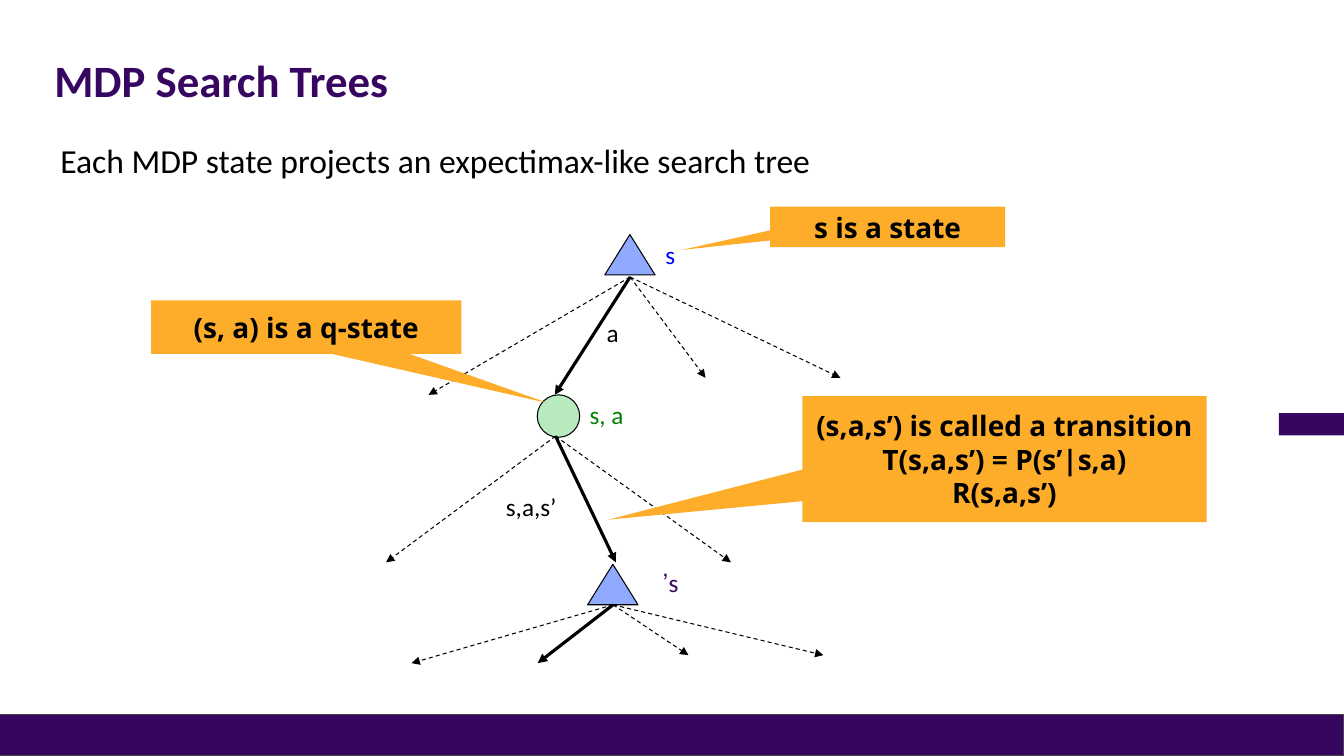
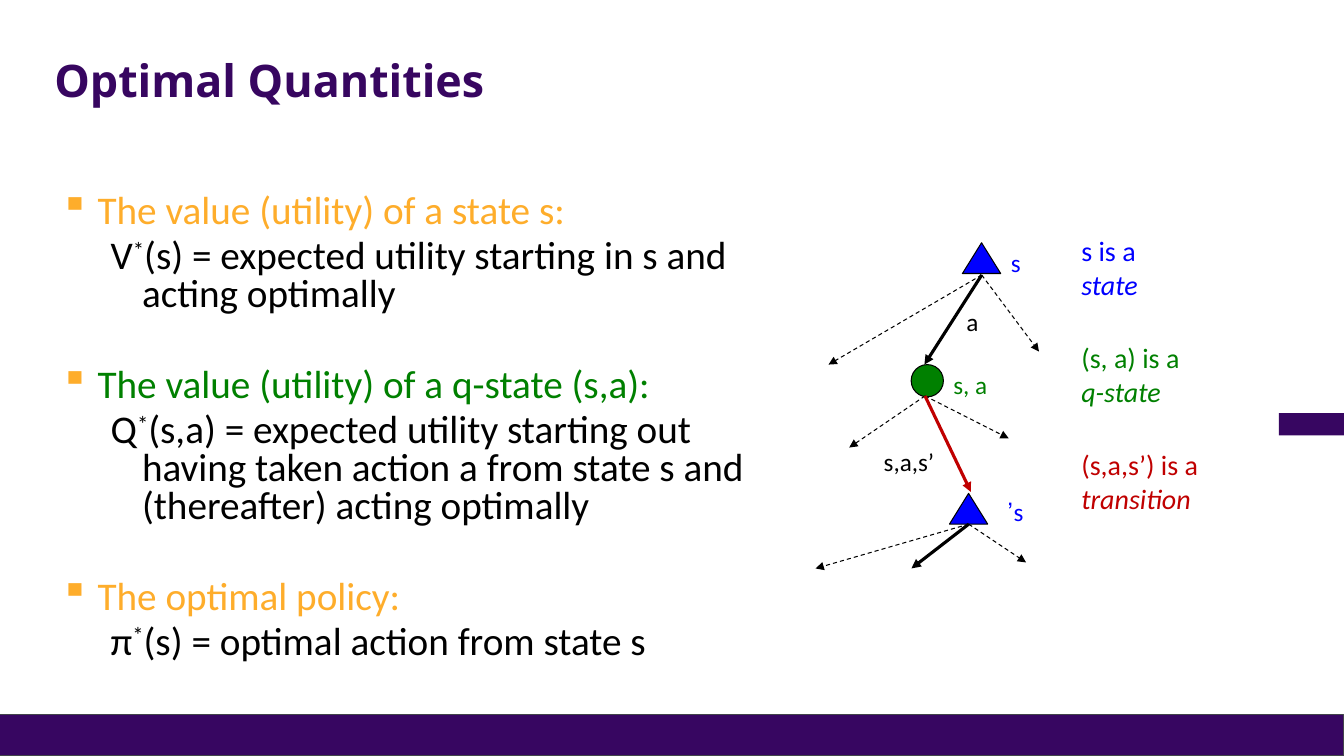
from lxml import etree
from pptx import Presentation, util as u
from pptx.dml.color import RGBColor
from pptx.enum import dml, shapes, text
from pptx.oxml.ns import qn

Cm, Pt = u.Cm, u.Pt
SHAPE, ALIGN, ANCHOR = shapes.MSO_SHAPE, text.PP_ALIGN, text.MSO_ANCHOR

COLORS = {
    "band": "370661", "band_edge": "43454B", "title": "370660", "amber": "FEAD2B",
    "black": "000000", "blue": "0000FF", "green": "008000", "red": "C00000",
    "pale_blue": "8FAAFF", "pale_green": "B8EAC0",
}
BODY_FONT, STRONG_FONT = "Calibri", "Open Sans"


def rgb(color):
    return RGBColor.from_string(COLORS[color])


def add_run(paragraph, words, size, color, font=BODY_FONT, bold=False, italic=False, raised=False):
    run = paragraph.add_run()
    run.text = words
    run.font.name, run.font.size = font, Pt(size)
    run.font.bold, run.font.italic = bold, italic
    run.font.color.rgb = rgb(color)
    if raised:
        run._r.get_or_add_rPr().set("baseline", "30000")


def add_text_box(slide, left, top, width, height, anchor=ANCHOR.TOP):
    frame = slide.shapes.add_textbox(Cm(left), Cm(top), Cm(width), Cm(height)).text_frame
    frame.word_wrap = True
    frame.vertical_anchor = anchor
    return frame


def add_shape(slide, preset, left, top, width, height, fill, edge=None):
    shape = slide.shapes.add_shape(preset, Cm(left), Cm(top), Cm(width), Cm(height))
    shape.shadow.inherit = False
    shape.fill.solid()
    shape.fill.fore_color.rgb = rgb(fill)
    if edge:
        shape.line.color.rgb = rgb(edge)
        shape.line.width = Pt(0.75)
    else:
        shape.line.fill.background()
    return shape


def add_arrow(slide, start, end, color="black", dashed=True):
    arrow = slide.shapes.add_connector(
        shapes.MSO_CONNECTOR.STRAIGHT, *(Cm(v) for v in (*start, *end)))
    arrow.line.color.rgb = rgb(color)
    arrow.line.width = Pt(0.75 if dashed else 2.25)
    if dashed:
        arrow.line.dash_style = dml.MSO_LINE.DASH
    properties = arrow._element.spPr
    etree.SubElement(properties.find(qn("a:ln")), qn("a:tailEnd"), type="triangle")
    etree.SubElement(properties, qn("a:effectLst"))


def add_base_slide(deck, title, title_font):
    slide = deck.slides.add_slide(deck.slide_layouts[6])
    add_shape(slide, SHAPE.RECTANGLE, 0, 18.01, 33.87, 1.04, "band", "band_edge")
    add_shape(slide, SHAPE.RECTANGLE, 32.23, 10.41, 1.64, 0.56, "band")
    paragraph = add_text_box(slide, 1.12, 1.02, 30.43, 2.13, ANCHOR.MIDDLE).paragraphs[0]
    paragraph.line_spacing = 0.9
    add_run(paragraph, title, 32, "title", title_font, bold=True)
    return slide


def add_search_tree(slide, root, scale, state_fill, q_fill, q_tips, transition_color,
                    transition_label, successor_label, successor_color, far_right):
    """Draw the tree below root, the middle of the base of the top triangle.

    Shared parts are scaled; q_tips and the two label boxes (left, top, width)
    are plain offsets from their origin.
    """
    def at(x, y):
        return root[0] + x * scale, root[1] + y * scale

    def state(x, y):
        add_shape(slide, SHAPE.ISOSCELES_TRIANGLE, *at(x, y), 1.27 * scale, 1.02 * scale,
                  state_fill, "black")

    def fan(x, y, left_drop, right_drop):
        tips = [(-5.08, left_drop), (1.9, right_drop)]
        if far_right:
            tips.append((5.3, right_drop))
        for dx, dy in tips:
            add_arrow(slide, at(x, y), at(x + dx, y + dy))
        add_arrow(slide, at(x, y), at(x - 1.9, y + left_drop), dashed=False)

    def label(words, color, left, top, width, right_to_left=False):
        paragraph = add_text_box(slide, left, top, width, 1.02).paragraphs[0]
        if right_to_left:
            paragraph.alignment = ALIGN.RIGHT
            paragraph._p.get_or_add_pPr().set("rtl", "1")
        add_run(paragraph, words, 18, color)

    def beside(box):
        return root[0] + box[0], root[1] + box[1], box[2]

    state(-0.64, -1.07)
    state(-1.07, 7.24)
    fan(0, 0, 2.97, 2.54)
    add_shape(slide, SHAPE.OVAL, *at(-2.34, 2.97), 1.07 * scale, 1.07 * scale, q_fill, "black")
    q_base = at(-1.88, 4.01)
    for dx, dy in q_tips:
        add_arrow(slide, q_base, (q_base[0] + dx, q_base[1] + dy))
    add_arrow(slide, q_base, at(-0.36, 7.19), transition_color, dashed=False)
    fan(-0.43, 8.26, 1.47, 1.27)

    label("a", "black", *at(-0.84, 0.89), 1.07 * scale)
    label("s", "blue", *at(0.64, -1.07), 1.07 * scale)
    label("s, a", "green", *at(-1.27, 2.97), 2.11 * scale)
    label("s,a,s’", "black", *beside(transition_label))
    label("s’", successor_color, *beside(successor_label), right_to_left=True)


def add_callout(slide, box, pointer, lines):
    callout = add_shape(slide, SHAPE.ROUNDED_RECTANGULAR_CALLOUT, *box, "amber")
    for index, value in enumerate((*pointer, 0)):
        callout.adjustments[index] = value
    frame = callout.text_frame
    frame.word_wrap = True
    frame.vertical_anchor = ANCHOR.MIDDLE
    frame.margin_left = frame.margin_right = frame.margin_top = frame.margin_bottom = Cm(0.25)
    for index, line in enumerate(lines):
        paragraph = frame.add_paragraph() if index else frame.paragraphs[0]
        paragraph.alignment = ALIGN.CENTER
        add_run(paragraph, line, 20, "black", STRONG_FONT, bold=True)


def set_indent(paragraph, margin, hanging):
    properties = paragraph._p.get_or_add_pPr()
    properties.set("marL", str(Cm(margin)))
    properties.set("indent", str(-Cm(hanging)))
    return properties


def add_definitions(slide, left, top, width, height, definitions):
    frame = add_text_box(slide, left, top, width, height)
    for index, (heading, color, symbol, meaning) in enumerate(definitions):
        term = frame.add_paragraph() if index else frame.paragraphs[0]
        term.line_spacing = 0.8
        term.space_before = Pt(38 if index else 0)
        properties = set_indent(term, 0.94, 0.94)
        bullet_color = etree.SubElement(properties, qn("a:buClr"))
        etree.SubElement(bullet_color, qn("a:srgbClr"), val=COLORS["amber"])
        etree.SubElement(properties, qn("a:buChar"), char="▪")
        add_run(term, heading, 28, color)

        formula = frame.add_paragraph()
        formula.level = 1
        formula.line_spacing = 0.8
        formula.space_before = Pt(5.6)
        set_indent(formula, 2.06, 0.79)
        add_run(formula, symbol, 28, "black")
        add_run(formula, "*", 28, "black", raised=True)
        add_run(formula, meaning, 28, "black")


def add_legend(slide, left, top, entries):
    for index, (subject, kind, color, width) in enumerate(entries):
        paragraph = add_text_box(slide, left, top + index * 2.69, width, 1.96).paragraphs[0]
        add_run(paragraph, subject, 20, color)
        add_run(paragraph, kind, 20, color, italic=True)


def build_search_trees(deck):
    slide = add_base_slide(deck, "MDP Search Trees", BODY_FONT)
    intro = add_text_box(slide, 1.27, 3.51, 31.12, 12.57).paragraphs[0]
    intro.line_spacing = 0.9
    add_run(intro, "Each MDP state projects an expectimax-like search tree", 24, "black")
    add_search_tree(
        slide, root=(15.88, 6.98), scale=1, state_fill="pale_blue", q_fill="pale_green",
        q_tips=[(-4.27, 3.18), (4.42, 3.18)], transition_color="black",
        transition_label=(-3.38, 5.28, 2.97), successor_label=(0.2, 7.19, 1.27),
        successor_color="title", far_right=True)
    add_callout(slide, (19.41, 5.21, 5.92, 1.02), (-0.88, 0.57), ["s is a state"])
    add_callout(slide, (3.81, 7.57, 7.82, 1.35), (0.78, 1.42), ["(s, a) is a q-state"])
    add_callout(slide, (20.22, 9.98, 10.19, 3.18), (-0.98, 0.48),
                ["(s,a,s’) is called a transition", "T(s,a,s’) = P(s’|s,a)", "R(s,a,s’)"])


def build_optimal_quantities(deck):
    slide = add_base_slide(deck, "Optimal Quantities", STRONG_FONT)
    add_definitions(slide, 1.27, 4.77, 18.62, 12.6, [
        ("The value (utility) of a state s:", "amber", "V",
         "(s) = expected utility starting in s and acting optimally"),
        ("The value (utility) of a q-state (s,a):", "green", "Q",
         "(s,a) = expected utility starting out having taken action a from state s and "
         "(thereafter) acting optimally"),
        ("The optimal policy:", "amber", "π", "(s) = optimal action from state s"),
    ])
    add_search_tree(
        slide, root=(24.74, 6.93), scale=0.76, state_fill="blue", q_fill="green",
        q_tips=[(-1.91, 1.3), (2.11, 1.07)], transition_color="red",
        transition_label=(-2.72, 4.19, 2.29), successor_label=(0.23, 5.44, 1.07),
        successor_color="blue", far_right=False)
    add_legend(slide, 27, 5.77, [
        ("s is a ", "state", "blue", 2.92),
        ("(s, a) is a ", "q-state", "green", 3.61),
        ("(s,a,s’) is a ", "transition", "red", 3.81),
    ])


def main():
    deck = Presentation()
    deck.slide_width, deck.slide_height = Cm(33.87), Cm(19.05)
    build_search_trees(deck)
    build_optimal_quantities(deck)
    deck.save("out.pptx")


if __name__ == "__main__":
    main()
